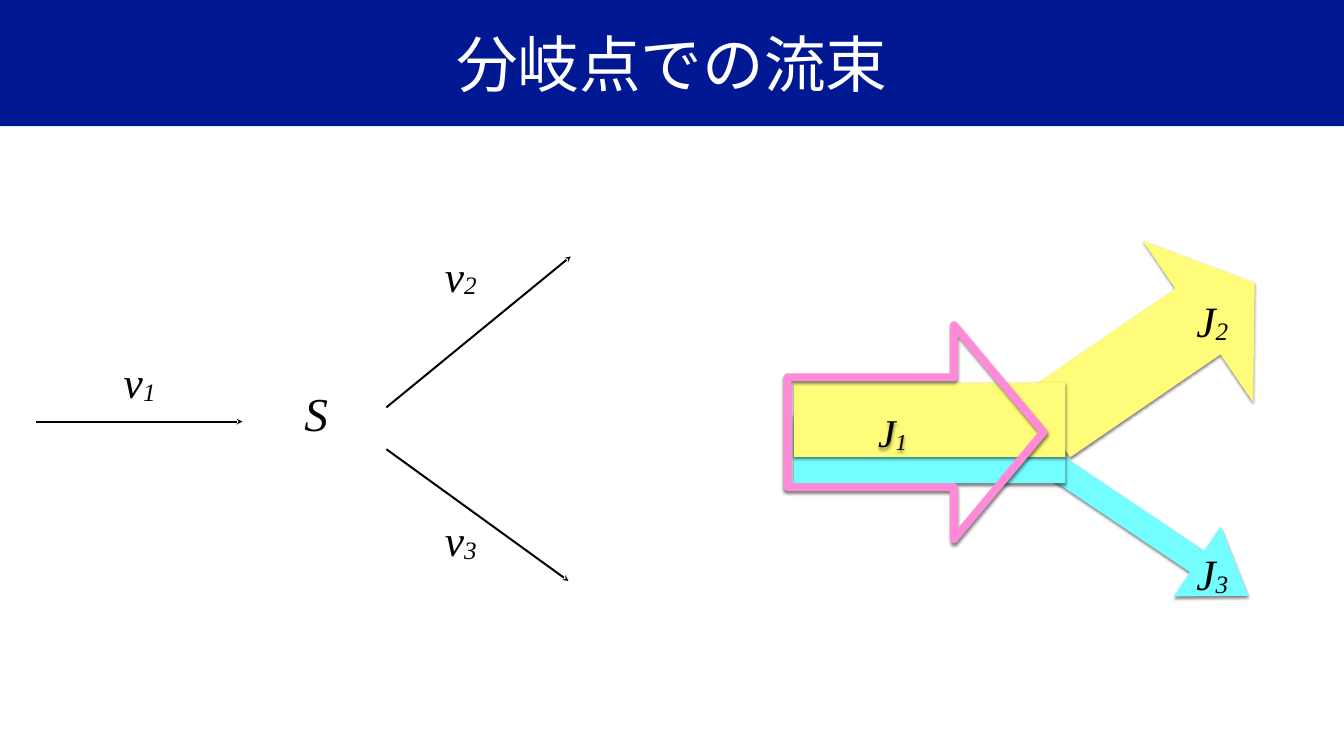
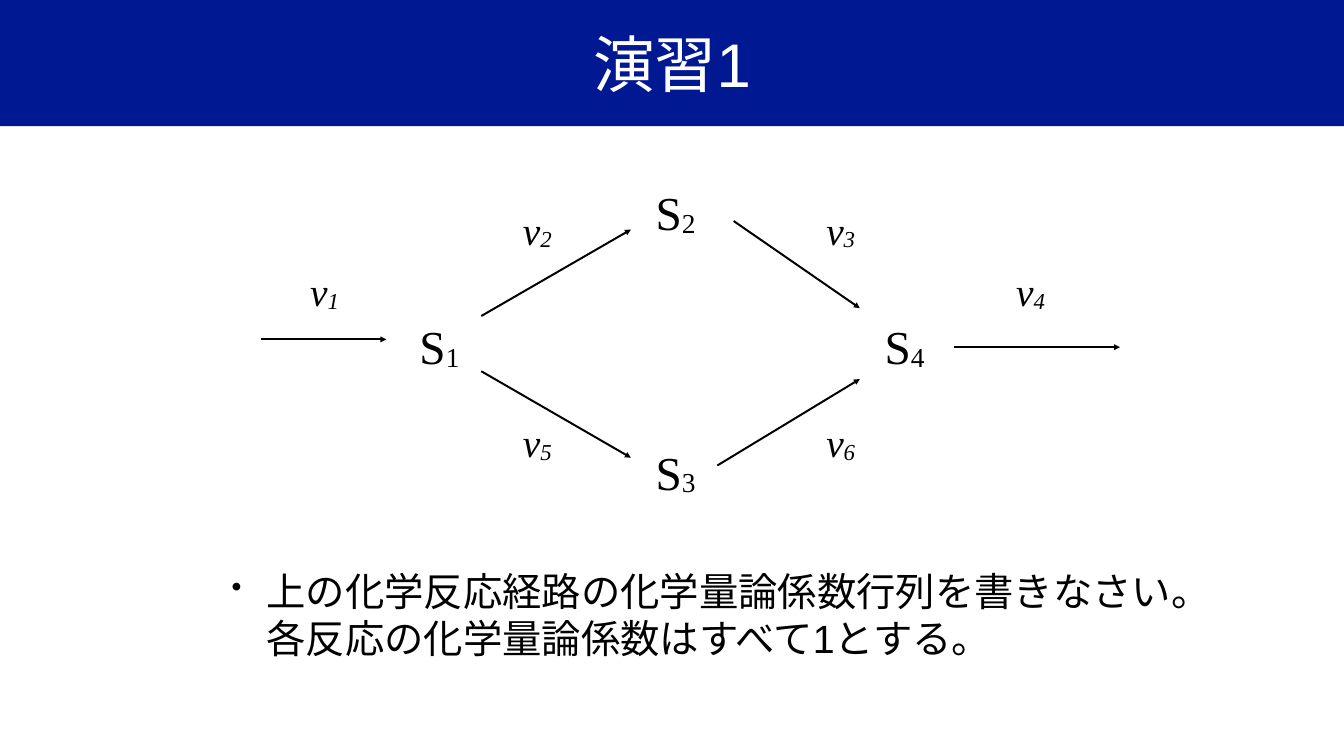
from dataclasses import dataclass

from lxml import etree
from pptx import Presentation
from pptx.dml.color import RGBColor
from pptx.enum.lang import MSO_LANGUAGE_ID as Language
from pptx.enum.shapes import MSO_CONNECTOR as Connector, MSO_SHAPE as Preset
from pptx.enum.text import MSO_ANCHOR as Anchor, MSO_AUTO_SIZE as AutoSize, PP_ALIGN as Align
from pptx.oxml.ns import qn
from pptx.util import Emu, Pt

PX = 9144  # 100 px to the inch


@dataclass(frozen=True)
class Theme:
    band: str = "011893"
    paper: str = "FFFFFF"
    ink: str = "000000"
    cyan: str = "73FDFF"
    yellow: str = "FFFC79"
    pink: str = "FF8AD8"
    sans: str = "Arial"
    serif: str = "Times New Roman"
    title_size: float = 62.6
    species_size: int = 48
    branch_size: int = 44
    body_size: int = 40
    arrow_width: int = 2
    outline_width: int = 8
    inset: int = 6


@dataclass(frozen=True)
class Box:
    left: int
    top: int
    width: int
    height: int

    def point(self, x, y):
        return px(self.left + x), px(self.top + y)

    def inner(self, x, y, width, height):
        return Box(self.left + x, self.top + y, width, height)

    def emu(self):
        return [px(side) for side in (self.left, self.top, self.width, self.height)]


THEME = Theme()
SLIDE = Box(0, 0, 1896, 1067)
TITLE = Box(0, 0, 1896, 178)


def px(length):
    return Emu(round(length * PX))


def rgb(color):
    return RGBColor.from_string(color)


def add_text(para, text, *, size, font=THEME.serif, color=THEME.ink, italic=False, baseline=0):
    span = para.add_run()
    span.text = text
    span.font.size = Pt(size)
    span.font.name = font
    span.font.italic = italic
    span.font.color.rgb = rgb(color)
    if font == THEME.sans:
        span.font.language_id = Language.JAPANESE
        east_asian = etree.SubElement(span.font._element, qn("a:ea"))
        east_asian.set("typeface", font)
    if baseline:
        span.font._element.set("baseline", str(baseline * 1000))


def set_frame(frame, inset):
    frame.vertical_anchor = Anchor.MIDDLE
    frame.margin_left = frame.margin_right = px(inset)
    frame.margin_top = frame.margin_bottom = px(inset)
    frame.paragraphs[0].alignment = Align.CENTER
    return frame.paragraphs[0]


def write_symbol(frame, symbol, size, italic=True):
    """Write a letter followed by its index, if any, as a subscript."""
    para = set_frame(frame, THEME.inset)
    add_text(para, symbol[0], size=size, italic=italic)
    if symbol[1:]:
        add_text(para, symbol[1:], size=size, italic=italic, baseline=-6)


def add_symbol(page, box, symbol, x, y, size, width, italic=True):
    """Place a symbol with its centre at x, y of the box."""
    height = round(2 * THEME.inset + 1.67 * size)
    place = box.inner(x - width / 2, y - height / 2, width, height)
    frame = page.shapes.add_textbox(*place.emu()).text_frame
    frame.word_wrap = False
    frame.auto_size = AutoSize.SHAPE_TO_FIT_TEXT
    write_symbol(frame, symbol, size, italic)


def add_arrow(page, box, start, end, head):
    arrow = page.shapes.add_connector(Connector.STRAIGHT, *box.point(*start), *box.point(*end))
    arrow.line.width = Pt(THEME.arrow_width)
    arrow.line.color.rgb = rgb(THEME.ink)
    etree.SubElement(arrow.line._get_or_add_ln(), qn("a:tailEnd"), type=head)
    etree.SubElement(arrow._element.spPr, qn("a:effectLst"))


def add_shadow(shape):
    shape.shadow.inherit = False
    effects = shape._element.spPr.find(qn("a:effectLst"))
    shadow = etree.SubElement(effects, qn("a:outerShdw"), blurRad=str(Pt(3)),
                              dist=str(Pt(2)), dir="5400000", rotWithShape="0")
    color = etree.SubElement(shadow, qn("a:srgbClr"), val=THEME.ink)
    etree.SubElement(color, qn("a:alpha"), val="50000")


def add_flux(page, place, preset, fill=None, outline=None, rotation=0, adjustments=()):
    shape = page.shapes.add_shape(preset, *place.emu())
    shape.rotation = rotation
    for index, value in enumerate(adjustments):
        shape.adjustments[index] = value
    if fill:
        shape.fill.solid()
        shape.fill.fore_color.rgb = rgb(fill)
    else:
        shape.fill.background()
    if outline:
        shape.line.color.rgb = rgb(outline)
        shape.line.width = Pt(THEME.outline_width)
    else:
        shape.line.fill.background()
    add_shadow(shape)
    return shape


def add_page(deck, title):
    page = deck.slides.add_slide(deck.slide_layouts[5])
    band = page.shapes.title
    band.left, band.top, band.width, band.height = TITLE.emu()
    band.fill.solid()
    band.fill.fore_color.rgb = rgb(THEME.band)
    para = set_frame(band.text_frame, 0)
    add_text(para, title, size=THEME.title_size, font=THEME.sans, color=THEME.paper)
    return page


def draw_branch(page, box):
    for symbol, x, y in (("v1", 146, 193), ("v2", 599, 43), ("v3", 599, 416)):
        add_symbol(page, box, symbol, x, y, THEME.branch_size, 59)
    add_symbol(page, box, "S", 395, 237, THEME.species_size, 45)
    for start, end in (
        ((0, 250), (291, 250)),
        ((494, 230), (754, 17)),
        ((494, 289), (751, 475)),
    ):
        add_arrow(page, box, start, end, "stealth")


def draw_fluxes(page, box):
    """Draw the inflow as two stacked bands that part into two arrows."""
    for color, arrow, rotation, adjustments, band in (
        (THEME.cyan, (337, 346, 342, 119), 33.9, (0.305, 0.73), (9, 245, 383, 97)),
        (THEME.yellow, (336, 21, 354, 276), 325.6, (0.408, 0.352), (9, 200, 383, 105)),
    ):
        add_flux(page, box.inner(*arrow), Preset.RIGHT_ARROW, fill=color,
                 rotation=rotation, adjustments=adjustments)
        add_flux(page, box.inner(*band), Preset.RECTANGLE, fill=color)
    inflow = add_flux(page, box.inner(0, 119, 361, 302), Preset.RIGHT_ARROW,
                      outline=THEME.pink, adjustments=(0.513, 0.418))
    write_symbol(inflow.text_frame, "J1", THEME.body_size)
    for symbol, y in (("J3", 469), ("J2", 112)):
        add_symbol(page, box, symbol, 599, y, THEME.branch_size, 59)


def draw_pathway(page, box):
    for symbol, x, y in (("S1", 252, 235), ("S2", 585, 46), ("S4", 908, 235), ("S3", 585, 412)):
        add_symbol(page, box, symbol, x, y, THEME.species_size, 71, italic=False)
    for symbol, x, y, start, end in (
        ("v1", 90, 158, (0, 226), (177, 226)),
        ("v2", 390, 71, (311, 193), (522, 71)),
        ("v3", 818, 71, (667, 59), (845, 182)),
        ("v4", 1086, 158, (978, 237), (1212, 237)),
        ("v5", 390, 371, (311, 271), (522, 393)),
        ("v6", 818, 371, (644, 404), (845, 282)),
    ):
        add_arrow(page, box, start, end, "triangle")
        add_symbol(page, box, symbol, x, y, THEME.body_size, 55)


def write_exercise(page, box, text):
    frame = page.shapes.add_textbox(*box.emu()).text_frame
    frame.word_wrap = True
    para = frame.paragraphs[0]
    layout = para._p.get_or_add_pPr()
    layout.set("marL", str(px(49)))
    layout.set("indent", str(px(-49)))
    etree.SubElement(layout, qn("a:buSzPct"), val="75000")
    etree.SubElement(layout, qn("a:buChar"), char="•")
    add_text(para, text, size=THEME.body_size, font=THEME.sans)


def main():
    deck = Presentation()
    deck.slide_width, deck.slide_height = px(SLIDE.width), px(SLIDE.height)

    page = add_page(deck, "分岐点での流束")
    draw_fluxes(page, Box(1111, 340, 690, 510))
    draw_branch(page, Box(51, 345, 754, 475))

    page = add_page(deck, "演習1")
    draw_pathway(page, Box(368, 253, 1212, 458))
    write_exercise(page, Box(317, 795, 1375, 181),
                   "上の化学反応経路の化学量論係数行列を書きなさい。各反応の化学量論係数はすべて1とする。")

    deck.save("out.pptx")


if __name__ == "__main__":
    main()
